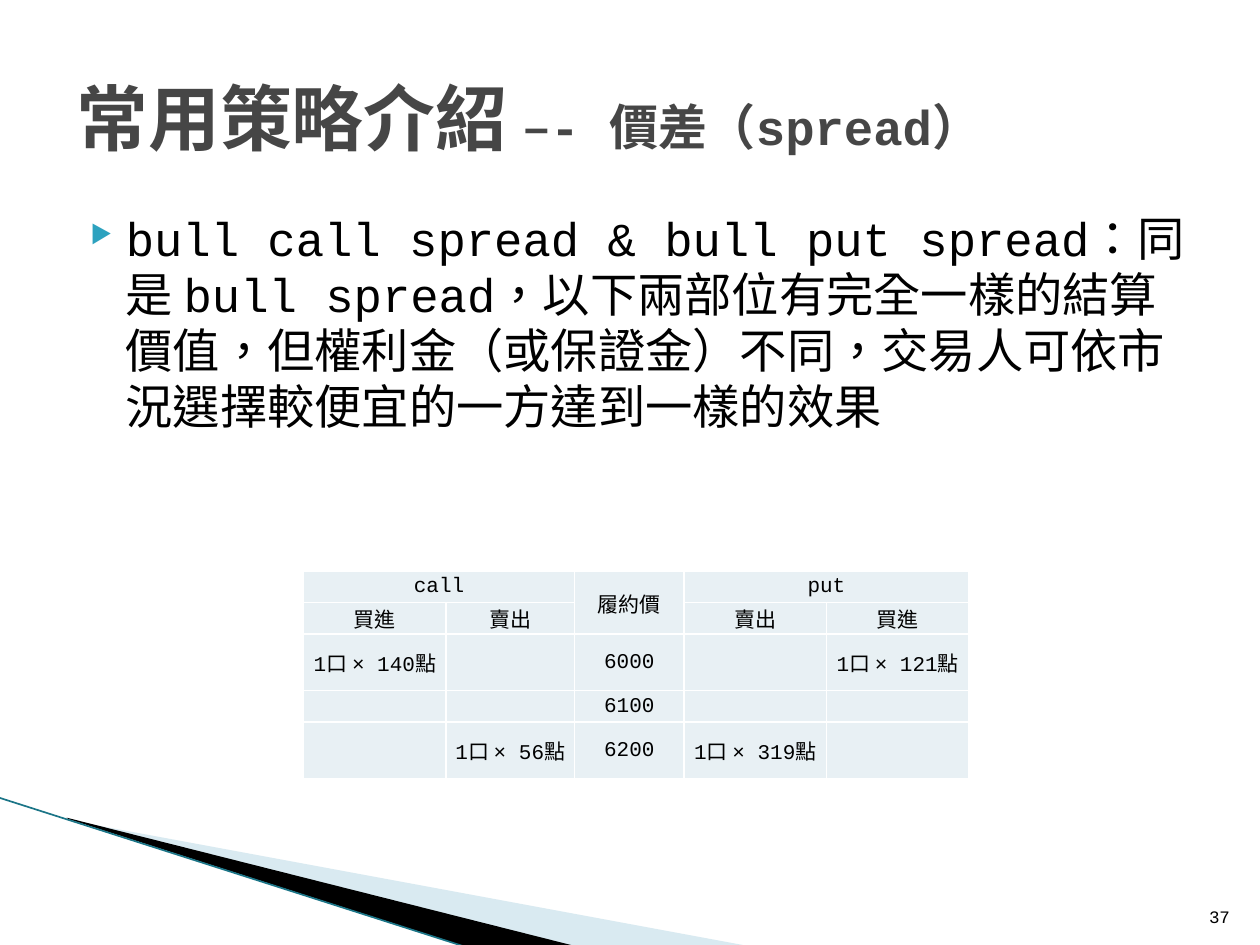
from lxml.etree import SubElement
from pptx import Presentation
from pptx.dml.color import RGBColor
from pptx.enum.shapes import MSO_CONNECTOR
from pptx.enum.text import MSO_ANCHOR as Anchor, PP_ALIGN as Align
from pptx.oxml.ns import qn
from pptx.util import Inches, Pt

WHITE = RGBColor(0xFF, 0xFF, 0xFF)
BLACK = RGBColor(0, 0, 0)
TITLE_GRAY = RGBColor(0x46, 0x46, 0x46)
BULLET_TEAL = RGBColor(0x2D, 0xA2, 0xBF)
EDGE_TEAL = RGBColor(0x1B, 0x75, 0x87)
PALE_BLUE = RGBColor(0xA0, 0xCB, 0xDC)
CELL_BLUE = RGBColor(0xE8, 0xF0, 0xF4)
MONO = "Courier New"
CJK = "Noto Sans CJK TC"

COLUMN_WIDTHS = [1.13, 1.02, 0.87, 1.13, 1.13]
ROW_HEIGHTS = [0.25, 0.25, 0.45, 0.25, 0.45]
POSITIONS = [
    ["call", "", "履約價", "put", ""],
    ["買進", "賣出", "", "賣出", "買進"],
    ["1口 × 140點", "", "6000", "", "1口 × 121點"],
    ["", "", "6100", "", ""],
    ["", "1口 × 56點", "6200", "1口 × 319點", ""],
]
MERGES = [((0, 0), (0, 1)), ((0, 2), (1, 2)), ((0, 3), (0, 4))]


def add_run(paragraph, text, size, color=BLACK, bold=False, east_asian=None):
    """Add a Traditional Chinese run, with its own East Asian face if given."""
    run = paragraph.add_run()
    run.text = text
    set_all(run.font, {"size": Pt(size), "bold": bold, "name": MONO})
    run.font.color.rgb = color
    run.font._element.set("lang", "zh-TW")
    if east_asian:
        SubElement(run.font._element, qn("a:ea"), typeface=east_asian)


def set_all(target, values):
    for name, value in values.items():
        setattr(target, name, value)


def add_text_box(slide, box, anchor=Anchor.TOP):
    """Add a wrapping box and return its first paragraph."""
    frame = slide.shapes.add_textbox(*map(Inches, box)).text_frame
    set_all(frame, {"word_wrap": True, "vertical_anchor": anchor})
    return frame.paragraphs[0]


def add_bullet(paragraph, symbol, color, percent, margin, indent):
    properties = paragraph._p.get_or_add_pPr()
    properties.set("marL", str(Inches(margin)))
    properties.set("indent", str(Inches(indent)))
    bullet_color = SubElement(properties, qn("a:buClr"))
    SubElement(bullet_color, qn("a:srgbClr"), val=str(color))
    SubElement(properties, qn("a:buSzPct"), val=str(percent * 1000))
    SubElement(properties, qn("a:buChar"), char=symbol)


def add_wedge(slide, points, color, opacity=100):
    start, *rest = [(Inches(x), Inches(y)) for x, y in points]
    builder = slide.shapes.build_freeform(*start)
    builder.add_line_segments(rest, close=True)
    wedge = builder.convert_to_shape()
    wedge.shadow.inherit = False
    wedge.line.fill.background()
    wedge.fill.solid()
    wedge.fill.fore_color.rgb = color
    if opacity < 100:
        tint = wedge.fill._xPr.find(".//" + qn("a:srgbClr"))
        SubElement(tint, qn("a:alpha"), val=str(opacity * 1000))


def add_corner_decoration(slide):
    add_wedge(slide, [(0.55, 6.51), (5.95, 7.51), (4.56, 7.51), (0.55, 6.5)],
              PALE_BLUE, opacity=40)
    add_wedge(slide, [(0.53, 6.49), (4.57, 7.51), (3.72, 7.52), (0.54, 6.5)],
              BLACK)
    edge = slide.shapes.add_connector(
        MSO_CONNECTOR.STRAIGHT, *map(Inches, (-0.01, 6.33, 3.71, 7.52)))
    edge.line.color.rgb = EDGE_TEAL
    edge.line.width = Pt(0.95)
    SubElement(edge._element.spPr, qn("a:effectLst"))


def style_cell(cell):
    properties = cell._tc.get_or_add_tcPr()
    for side in ("lnL", "lnR", "lnT", "lnB"):
        border = SubElement(properties, qn(f"a:{side}"), w=str(Pt(1)))
        solid = SubElement(border, qn("a:solidFill"))
        SubElement(solid, qn("a:srgbClr"), val=str(WHITE))
    cell.fill.solid()
    cell.fill.fore_color.rgb = CELL_BLUE
    set_all(cell, {"vertical_anchor": Anchor.MIDDLE, "margin_bottom": 0,
                   "margin_left": Inches(0.01), "margin_right": Inches(0.01),
                   "margin_top": Inches(0.01)})


def add_position_table(slide, left, top):
    table = slide.shapes.add_table(
        len(ROW_HEIGHTS), len(COLUMN_WIDTHS), Inches(left), Inches(top),
        Inches(sum(COLUMN_WIDTHS)), Inches(sum(ROW_HEIGHTS))).table
    set_all(table, {"first_row": False, "horz_banding": False})
    for column, width in zip(table.columns, COLUMN_WIDTHS):
        column.width = Inches(width)
    for row, height in zip(table.rows, ROW_HEIGHTS):
        row.height = Inches(height)
    for first, last in MERGES:
        table.cell(*first).merge(table.cell(*last))
    for r, labels in enumerate(POSITIONS):
        for c, label in enumerate(labels):
            cell = table.cell(r, c)
            style_cell(cell)
            paragraph = cell.text_frame.paragraphs[0]
            paragraph.alignment = Align.CENTER
            if label:
                add_run(paragraph, label, 12, east_asian=CJK)
            else:
                paragraph.font.size = Pt(12)


def main():
    deck = Presentation()
    set_all(deck, {"slide_width": Inches(10), "slide_height": Inches(7.5)})
    slide = deck.slides.add_slide(deck.slide_layouts[6])
    add_corner_decoration(slide)

    title = add_text_box(slide, (0.51, 0.3, 9, 1.25), Anchor.MIDDLE)
    add_run(title, "常用策略介紹 ", 41, TITLE_GRAY, bold=True)
    add_run(title, "–- 價差（spread）", 28, TITLE_GRAY, bold=True)

    explanation = add_text_box(slide, (0.5, 1.62, 9, 4.95))
    explanation.line_spacing = Pt(32)
    add_bullet(explanation, "▶", BULLET_TEAL, 53, margin=0.4, indent=-0.28)
    add_run(explanation, "bull call spread & bull put spread：同是 bull spread，"
            "以下兩部位有完全一樣的結算價值，但權利金（或保證金）不同，"
            "交易人可依市況選擇較便宜的一方達到一樣的效果", 27)

    add_position_table(slide, 2.41, 4.53)

    page_number = add_text_box(slide, (9.46, 7.01, 0.4, 0.4), Anchor.BOTTOM)
    page_number.alignment = Align.RIGHT
    add_run(page_number, "37", 10)
    deck.save("out.pptx")


if __name__ == "__main__":
    main()
